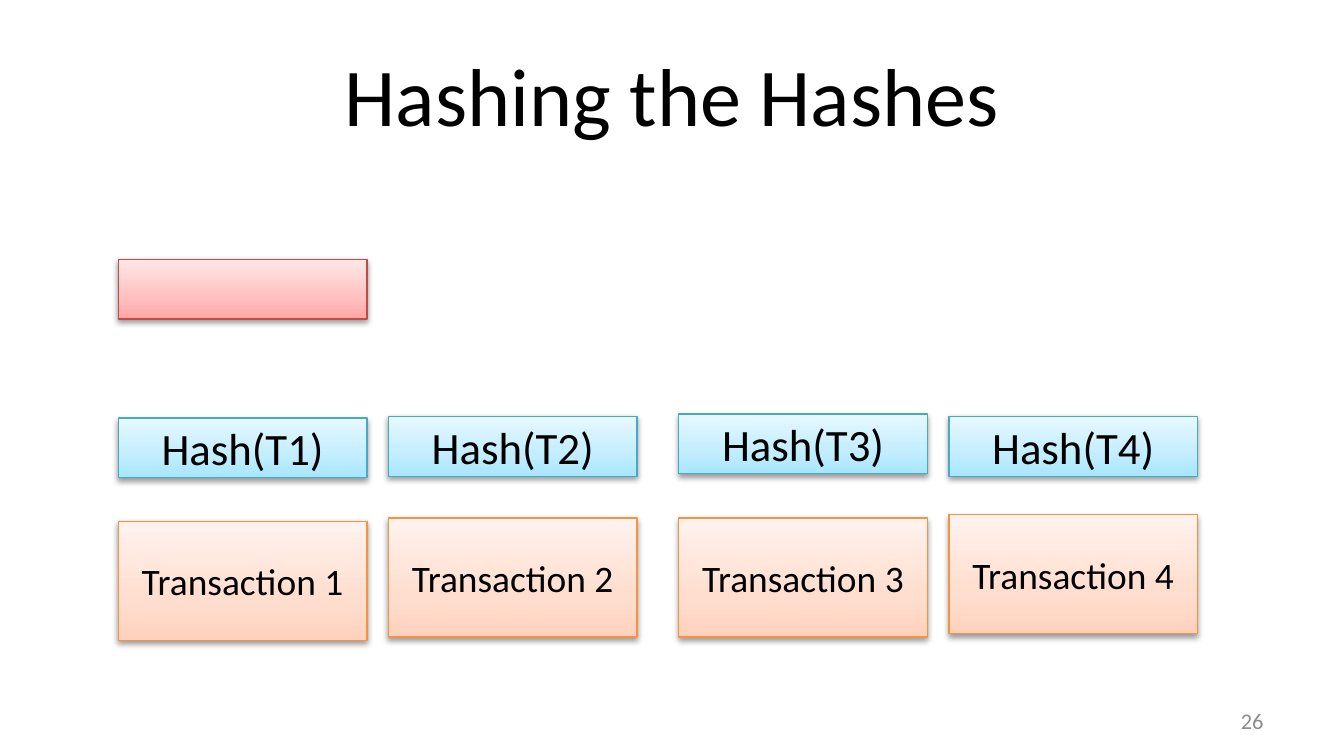
from copy import deepcopy

from lxml import etree
from pptx import Presentation, util as u
from pptx.dml.color import RGBColor
from pptx.enum import shapes, text
from pptx.oxml.ns import qn

PX = 4572  # EMU per px, at 200 px to the inch
FONT = "Calibri"
BOX_WIDTH = 370
COLUMNS = [176, 578, 1010, 1412]
ORANGE = ["FFD2BD", "FFDED0", "FFF2ED"]
BLUE = ["A7E6FF", "C1EDFF", "E7F8FF"]
RED = ["FFA6A5", "FFC0BF", "FFE7E7"]


def add_text(shape, words, size, color="000000", align=text.PP_ALIGN.CENTER):
    frame = shape.text_frame
    frame.word_wrap = True
    frame.vertical_anchor = text.MSO_ANCHOR.MIDDLE
    paragraph = frame.paragraphs[0]
    paragraph.alignment = align
    run = paragraph.add_run()
    run.text = words
    run.font.name = FONT
    run.font.size = u.Pt(size)
    run.font.color.rgb = RGBColor.from_string(color)


def add_box(left, top, height, colors, line):
    box = slide.shapes.add_shape(
        shapes.MSO_SHAPE.RECTANGLE, left * PX, top * PX, BOX_WIDTH * PX, height * PX)
    box.line.color.rgb = RGBColor.from_string(line)
    box.line.width = u.Pt(0.75)

    # Three-stop gradient, running upwards
    box.fill.gradient()
    box.fill.gradient_angle = 90
    stop_list = box._element.spPr.find(".//" + qn("a:gsLst"))
    stop_list.append(deepcopy(stop_list[0]))
    for stop, color, position in zip(box.fill.gradient_stops, colors, [0, 0.35, 1]):
        stop.color.rgb = RGBColor.from_string(color)
        stop.position = position

    # Soft shadow below
    box.shadow.inherit = False
    effects = box._element.spPr.find(qn("a:effectLst"))
    shadow = etree.SubElement(effects, qn("a:outerShdw"), blurRad="40000",
                              dist="20000", dir="5400000", rotWithShape="0")
    black = etree.SubElement(shadow, qn("a:srgbClr"), val="000000")
    etree.SubElement(black, qn("a:alpha"), val="38000")
    return box


presentation = Presentation()
presentation.slide_width = 2000 * PX
presentation.slide_height = 1125 * PX
slide = presentation.slides.add_slide(presentation.slide_layouts[6])

# Title and slide number
title = slide.shapes.add_textbox(100 * PX, 46 * PX, 1800 * PX, 188 * PX)
add_text(title, "Hashing the Hashes", 44)
number = slide.shapes.add_textbox(1434 * PX, 1043 * PX, 466 * PX, 60 * PX)
add_text(number, "26", 12, "8C8C8C", text.PP_ALIGN.RIGHT)

# Transactions
for index, (left, top) in enumerate(zip(COLUMNS, [776, 771, 771, 766]), 1):
    add_text(add_box(left, top, 177, ORANGE, "F69240"), f"Transaction {index}", 20)

# Hash of each transaction
for index, (left, top) in enumerate(zip(COLUMNS, [622, 620, 616, 620]), 1):
    add_text(add_box(left, top, 89, BLUE, "46AAC5"), f"Hash(T{index})", 24)

# Empty box for the combined hash
add_box(COLUMNS[0], 386, 89, RED, "BF4C48")

presentation.save("out.pptx")
